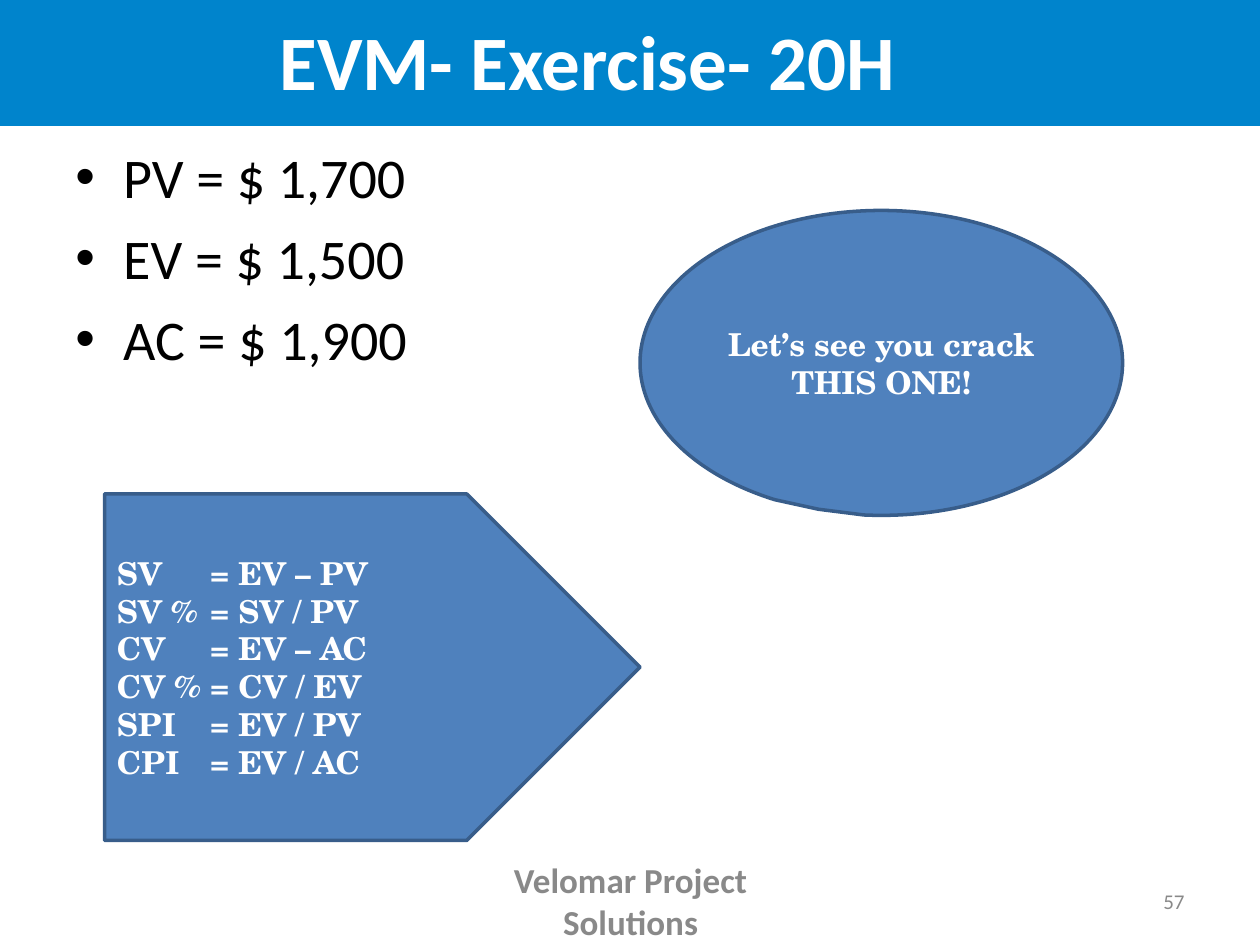
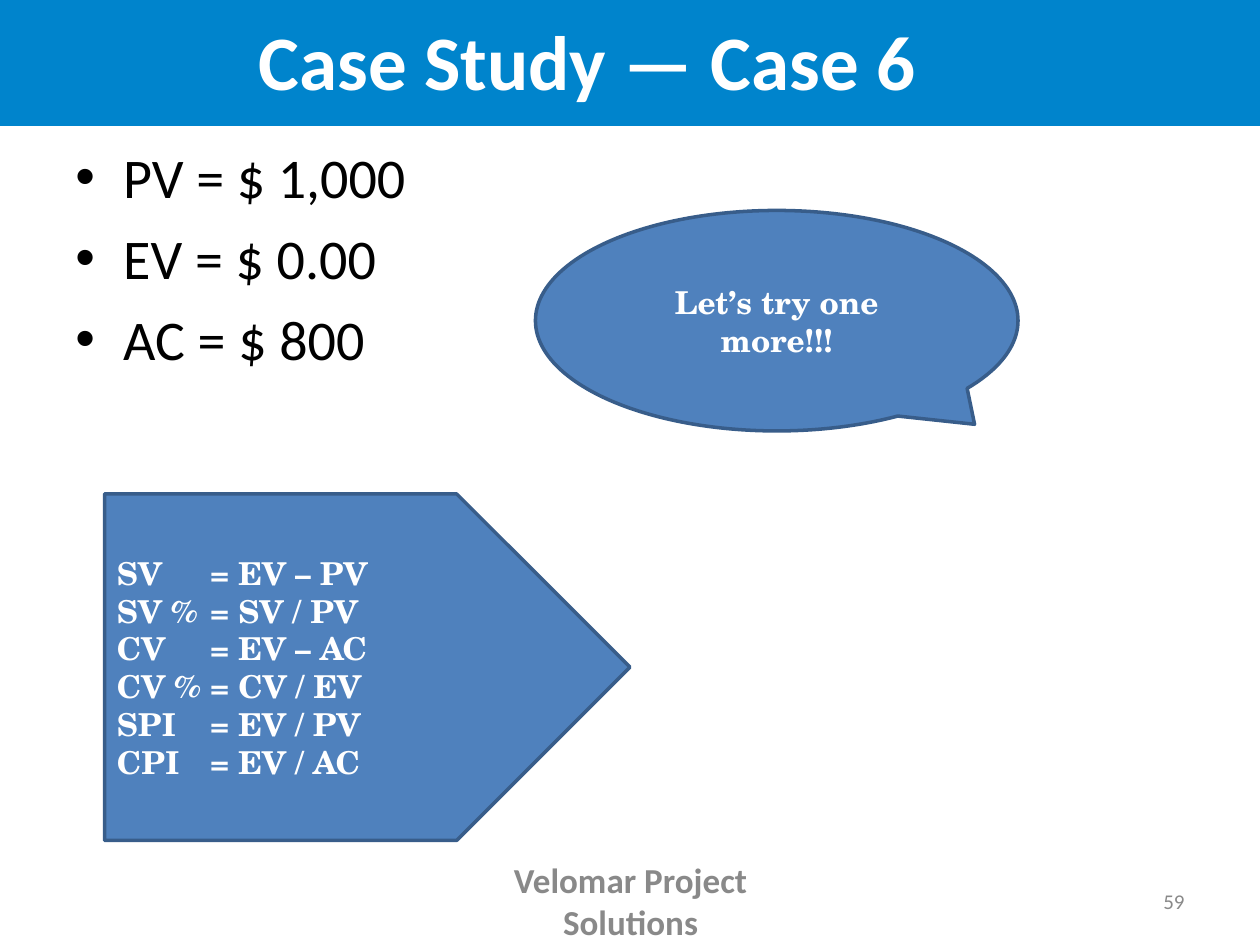
from lxml import etree
from pptx import Presentation
from pptx.dml.color import RGBColor
from pptx.enum.shapes import MSO_SHAPE
from pptx.enum.text import MSO_ANCHOR, PP_ALIGN
from pptx.oxml.ns import qn
from pptx.util import Inches, Pt

LEFT, CENTER, RIGHT = PP_ALIGN.LEFT, PP_ALIGN.CENTER, PP_ALIGN.RIGHT
TOP, MIDDLE = MSO_ANCHOR.TOP, MSO_ANCHOR.MIDDLE
RECTANGLE, PENTAGON = MSO_SHAPE.RECTANGLE, MSO_SHAPE.PENTAGON
CALLOUT = MSO_SHAPE.OVAL_CALLOUT

BAND, FILL, OUTLINE = "0084CC", "4F81BD", "385D8A"
WHITE, BLACK, GREY = "FFFFFF", "000000", "898989"
SANS, SERIF = "Calibri", "TeX Gyre Schola"
FOOTER = "Velomar Project Solutions"
FORMULAS = ["SV\t= EV – PV", "SV %\t= SV / PV", "CV\t= EV – AC",
            "CV %\t= CV / EV", "SPI\t= EV / PV", "CPI\t= EV / AC"]

# Position of the callout, its tip, and the width of the formula arrow differ
SLIDES = [
    {"title": "EVM- Exercise- 20H", "number": "57",
     "values": ["PV = $ 1,700", "EV = $ 1,500", "AC = $ 1,900"],
     "callout": "Let’s see you crack THIS ONE!",
     "callout_left": 5.08, "callout_height": 2.42, "tip": (-0.13, 0.48),
     "arrow_width": 4.25},
    {"title": "Case Study — Case 6", "number": "59",
     "values": ["PV = $ 1,000", "EV = $ 0.00", "AC = $ 800"],
     "callout": "Let’s try one more!!!",
     "callout_left": 4.25, "callout_height": 1.75, "tip": (0.41, 0.47),
     "arrow_width": 4.17},
]


def add_box(page, kind, left, top, width, height, fill=None, line=None):
    """Add a preset shape, or a text box when kind is None."""
    area = [Inches(length) for length in (left, top, width, height)]
    if kind is None:
        return page.shapes.add_textbox(*area)
    box = page.shapes.add_shape(kind, *area)
    box.shadow.inherit = False
    box.fill.solid()
    box.fill.fore_color.rgb = RGBColor.from_string(fill)
    if line:
        box.line.color.rgb = RGBColor.from_string(line)
        box.line.width = Pt(2)
    else:
        box.line.fill.background()
    return box


def write(box, lines, size, color, font=SANS, bold=False, align=CENTER,
          anchor=MIDDLE, bullets=False, tab=None):
    frame = box.text_frame
    frame.word_wrap = True
    frame.vertical_anchor = anchor
    for index, line in enumerate(lines):
        para = frame.paragraphs[0] if index == 0 else frame.add_paragraph()
        para.alignment = align
        properties = para._p.get_or_add_pPr()
        if bullets:
            properties.set("marL", str(Inches(0.38)))
            properties.set("indent", str(-Inches(0.38)))
            para.space_before = Pt(8 if index else 0)
            etree.SubElement(properties, qn("a:buFont"), typeface="Arial")
            etree.SubElement(properties, qn("a:buChar"), char="•")
        if tab:
            tabs = etree.SubElement(properties, qn("a:tabLst"))
            etree.SubElement(tabs, qn("a:tab"), pos=str(Inches(tab)), algn="l")
        para.font.name = font
        para.font.size = Pt(size)
        para.font.bold = bold
        para.font.color.rgb = RGBColor.from_string(color)
        para.add_run().text = line


deck = Presentation()
deck.slide_width, deck.slide_height = Inches(10), Inches(7.5)

for content in SLIDES:
    page = deck.slides.add_slide(deck.slide_layouts[6])

    # Title on its band
    add_box(page, RECTANGLE, -0.01, 0, 10.01, 1, BAND)
    title = add_box(page, None, 0.08, 0.03, 9.17, 0.88)
    write(title, [content["title"]], 44, WHITE, bold=True)

    # Given values
    values = add_box(page, None, 0.5, 1.08, 9, 5.62)
    write(values, content["values"], 32, BLACK, align=LEFT, anchor=TOP,
          bullets=True)

    # Speech bubble
    callout = add_box(page, CALLOUT, content["callout_left"], 1.67, 3.83,
                      content["callout_height"], FILL, OUTLINE)
    callout.adjustments[0], callout.adjustments[1] = content["tip"]
    write(callout, [content["callout"]], 18, WHITE, SERIF, bold=True)

    # Formulas, with the equals signs lined up
    arrow = add_box(page, PENTAGON, 0.83, 3.92, content["arrow_width"], 2.75,
                    FILL, OUTLINE)
    write(arrow, FORMULAS, 18, WHITE, SERIF, bold=True, align=LEFT, tab=0.74)

    # Footer and page number
    footer = add_box(page, None, 3.42, 6.95, 3.17, 0.4)
    write(footer, [FOOTER], 20, GREY, bold=True)
    number = add_box(page, None, 7.17, 6.95, 2.33, 0.4)
    write(number, [content["number"]], 12, GREY, align=RIGHT)

deck.save("out.pptx")
